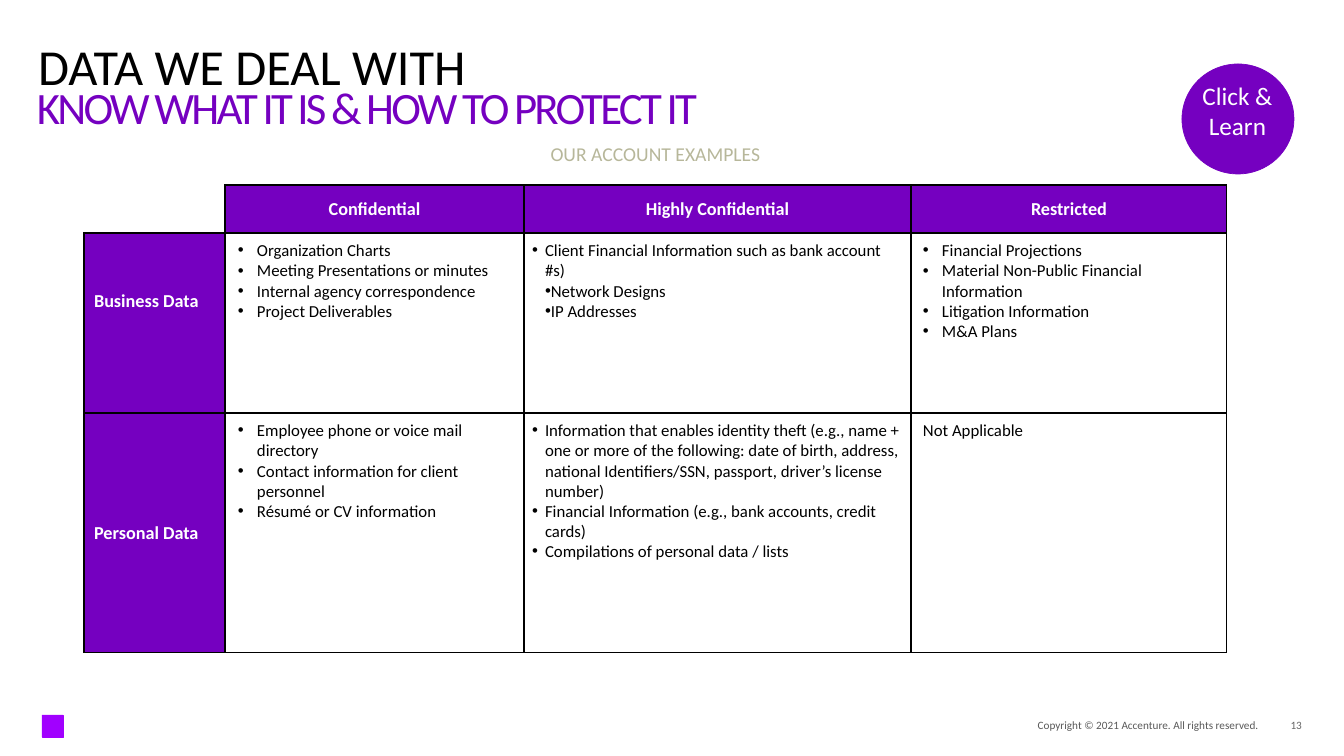
from dataclasses import dataclass
from itertools import product
from lxml.etree import SubElement
from pptx import Presentation
from pptx.dml.color import RGBColor
from pptx.enum.shapes import MSO_SHAPE
from pptx.enum.text import MSO_ANCHOR, MSO_AUTO_SIZE, PP_ALIGN
from pptx.oxml.ns import qn
from pptx.util import Pt

# Content
TITLE = "DATA WE DEAL WITH"
SUB = "KNOW WHAT IT IS & HOW TO PROTECT IT"
BADGE = "Click & Learn"
LEGAL = "Copyright © 2021 Accenture. All rights reserved."
PAGE = "13"
BAND = "OUR ACCOUNT EXAMPLES"
HEADS = ["Confidential", "Highly Confidential", "Restricted"]
SIDES = ["Business Data", "Personal Data"]

# Each list: (left margin, first-line indent) in px, text; None means no bullet
WIDE, SLIM, PUSH = (19, -19), (13, -13), (0, 13)
LISTS = [
    [
        [(WIDE, "Organization Charts"),
         (WIDE, "Meeting Presentations or minutes"),
         (WIDE, "Internal agency correspondence"),
         (WIDE, "Project Deliverables")],
        [(SLIM, "Client Financial Information such as bank account #s)"),
         (PUSH, "Network Designs"),
         (PUSH, "IP Addresses")],
        [(WIDE, "Financial Projections"),
         (WIDE, "Material Non-Public Financial Information"),
         (WIDE, "Litigation Information"),
         (WIDE, "M&A Plans")],
    ],
    [
        [(WIDE, "Employee phone or voice mail directory"),
         (WIDE, "Contact information for client personnel"),
         (WIDE, "Résumé or CV information")],
        [(SLIM, "Information that enables identity theft (e.g., name + one or "
                "more of the following: date of birth, address, national "
                "Identifiers/SSN, passport, driver’s license number)"),
         (SLIM, "Financial Information (e.g., bank accounts, credit cards)"),
         (SLIM, "Compilations of personal data / lists")],
        [(None, "Not Applicable")],
    ],
]

# Geometry in px
COLS = [141, 299, 387, 316]
ROWS = [47, 48, 180, 240]
LEFT, TOP = 84, 138
SPOTS = [(238, 283), (532, 370), (923, 283)]
LINES = [240, 420]


@dataclass(frozen=True)
class Theme:
    font: str = "Calibri"
    main: str = "7500C0"
    mark: str = "A100FF"
    ink: str = "000000"
    pale: str = "FFFFFF"
    sand: str = "B7B79A"
    grey: str = "666666"
    dim: str = "595959"
    title: int = 36
    sub: int = 32
    badge: int = 18
    band: int = 14
    head: int = 13
    body: int = 12
    foot: int = 8


LOOK = Theme()


def px(n):
    return round(n * 914400 / 100.8)


def tint(code):
    return RGBColor.from_string(code)


def write(para, text, size, color, bold=False, align=PP_ALIGN.LEFT):
    para.alignment = align
    run = para.add_run()
    run.text = text
    font = run.font
    font.name, font.size, font.bold = LOOK.font, Pt(size), bold
    font.color.rgb = tint(color)
    return run


def setup(frame, anchor=MSO_ANCHOR.TOP, side=0, edge=0):
    frame.word_wrap = True
    frame.auto_size = MSO_AUTO_SIZE.NONE
    frame.vertical_anchor = anchor
    frame.margin_left = frame.margin_right = px(side)
    frame.margin_top = frame.margin_bottom = px(edge)
    return frame


def box(x, y, w, h, **opts):
    shape = slide.shapes.add_textbox(px(x), px(y), px(w), px(h))
    return setup(shape.text_frame, **opts)


def solid(kind, x, y, w, h, color):
    shape = slide.shapes.add_shape(kind, px(x), px(y), px(w), px(h))
    shape.shadow.inherit = False
    shape.fill.solid()
    shape.fill.fore_color.rgb = tint(color)
    shape.line.color.rgb = tint(color)
    shape.line.width = Pt(0.5)


def bullet(para, dent):
    props = para._p.get_or_add_pPr()
    props.set("marL", str(px(dent[0])))
    props.set("indent", str(px(dent[1])))
    SubElement(props, qn("a:buFont"), typeface="Arial")
    SubElement(props, qn("a:buChar"), char="•")


def border(cell, sides):
    props = cell._tc.get_or_add_tcPr()
    for spot, side in enumerate(sides):
        line = props.makeelement(qn("a:ln" + side), {"w": str(Pt(1))})
        fill = SubElement(line, qn("a:solidFill"))
        SubElement(fill, qn("a:srgbClr"), val=LOOK.ink)
        props.insert(spot, line)


# Slide and title
deck = Presentation()
deck.slide_width, deck.slide_height = px(1344), px(756)
slide = deck.slides.add_slide(deck.slide_layouts[5])
title = slide.shapes.title
title.left, title.top, title.width, title.height = map(px, (38, 42, 1263, 55))
para = setup(title.text_frame).paragraphs[0]
para.line_spacing = 0.9
write(para, TITLE, LOOK.title, LOOK.ink)

# Corner mark
solid(MSO_SHAPE.RECTANGLE, 42, 715, 21, 22, LOOK.mark)

# Table
table = slide.shapes.add_table(len(ROWS), len(COLS), px(LEFT), px(TOP),
                               px(sum(COLS)), px(sum(ROWS))).table
table.first_row = table.horz_banding = False
style = table._tbl.tblPr.find(qn("a:tableStyleId"))
style.text = "{2D5ABB26-0587-4C30-8999-92F81FD0307C}"
for col, wide in zip(table.columns, COLS):
    col.width = px(wide)
for row, high in zip(table.rows, ROWS):
    row.height = px(high)

for r, c in product(range(len(ROWS)), range(len(COLS))):
    cell = table.cell(r, c)
    label = r > 0 and (r == 1) != (c == 0)
    if label:
        cell.fill.solid()
        cell.fill.fore_color.rgb = tint(LOOK.main)
        cell.vertical_anchor = MSO_ANCHOR.MIDDLE
        text = HEADS[c - 1] if r == 1 else SIDES[r - 2]
        align = PP_ALIGN.CENTER if r == 1 else PP_ALIGN.LEFT
        write(cell.text_frame.paragraphs[0], text, LOOK.head, LOOK.pale,
              True, align)
    else:
        cell.fill.background()
    if r > 0:
        border(cell, "RB" if (r, c) == (1, 0) else "LRTB")
table.cell(2, 0).margin_bottom = px(49)
table.cell(0, 0).merge(table.cell(0, 3))
write(table.cell(0, 0).text_frame.paragraphs[0], BAND, LOOK.band, LOOK.sand,
      align=PP_ALIGN.CENTER)

# Subtitle
para = box(27, 81, 1267, 39, side=10, edge=5).paragraphs[0]
para.line_spacing = 0.9
run = write(para, SUB, LOOK.sub, LOOK.main)
run._r.get_or_add_rPr().set("spc", "-200")

# Lists over the table
for y, line in zip(LINES, LISTS):
    for (x, w), items in zip(SPOTS, line):
        frame = box(x, y, w, 164)
        for i, (dent, text) in enumerate(items):
            para = frame.add_paragraph() if i else frame.paragraphs[0]
            if dent:
                bullet(para, dent)
            write(para, text, LOOK.body, LOOK.ink)

# Badge
solid(MSO_SHAPE.OVAL, 1182, 64, 112, 110, LOOK.main)
write(box(1194, 80, 87, 47).paragraphs[0], BADGE, LOOK.badge, LOOK.pale,
      align=PP_ALIGN.CENTER)

# Footer
for x, w, text, color in [(1260, 42, PAGE, LOOK.grey),
                          (909, 350, LEGAL, LOOK.dim)]:
    write(box(x, 719, w, 13, anchor=MSO_ANCHOR.BOTTOM).paragraphs[0], text,
          LOOK.foot, color, align=PP_ALIGN.RIGHT)

deck.save("out.pptx")
